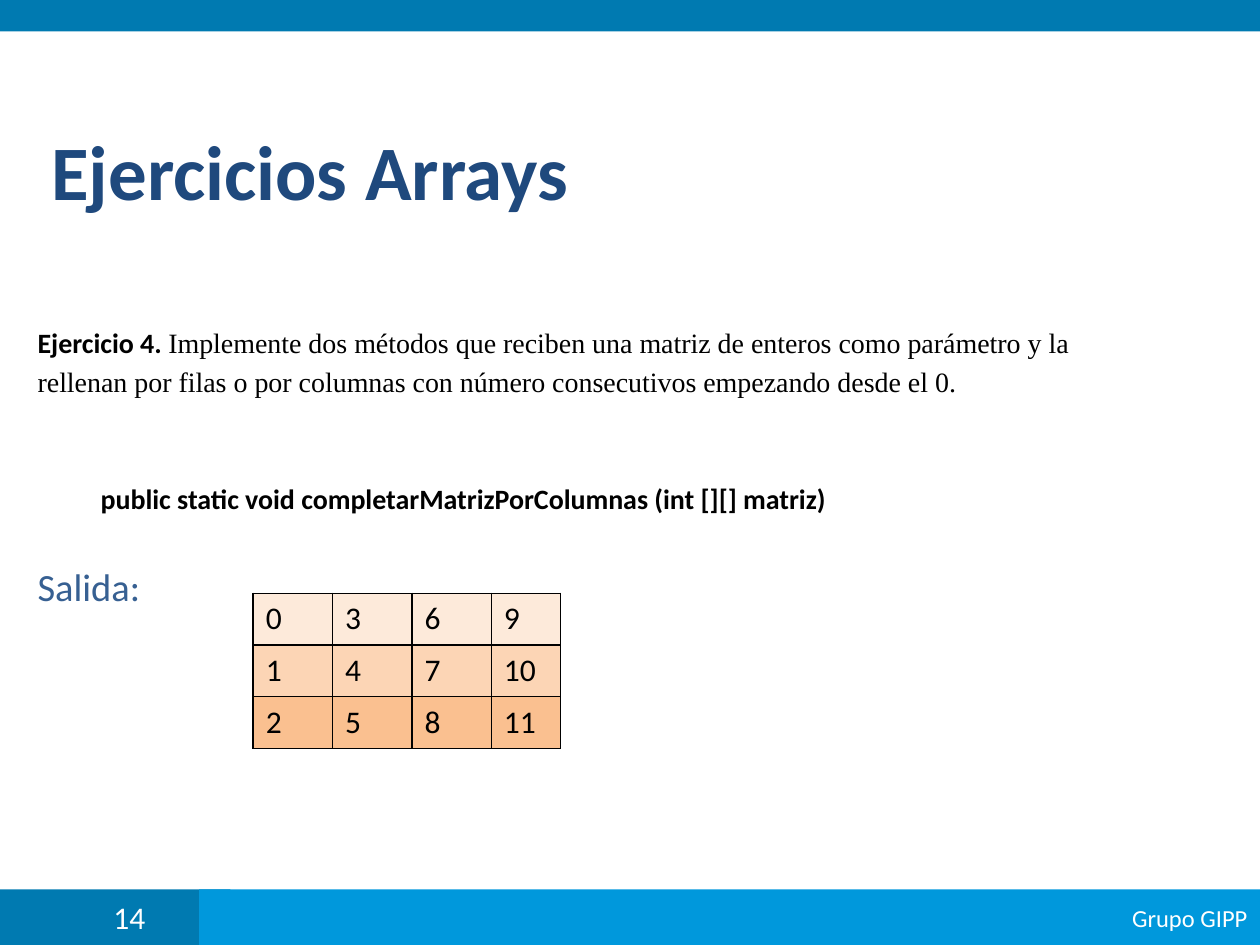
from dataclasses import dataclass

from lxml import etree
from pptx import Presentation
from pptx.dml.color import RGBColor
from pptx.enum.shapes import MSO_SHAPE
from pptx.enum.text import MSO_ANCHOR, PP_ALIGN
from pptx.oxml.ns import qn
from pptx.util import Inches, Pt

RECT = MSO_SHAPE.RECTANGLE
TOP, MIDDLE = MSO_ANCHOR.TOP, MSO_ANCHOR.MIDDLE
LEFT, RIGHT, JUSTIFY = PP_ALIGN.LEFT, PP_ALIGN.RIGHT, PP_ALIGN.JUSTIFY
SLIDE_W, SLIDE_H = 10, 7.5
DARK_BLUE, LIGHT_BLUE, NAVY, STEEL = "007AB1", "0098DC", "1F497D", "376092"
BLACK, WHITE = "000000", "FFFFFF"
ROW_FILLS = ("FDEADA", "FCD5B5", "FAC090")
COL_WIDTHS = (0.63, 0.63, 0.63, 0.55)
ROW_HEIGHT = 0.41


@dataclass
class Box:
    """An area in inches."""
    left: float
    top: float
    width: float
    height: float

    def emu(self) -> tuple:
        return tuple(Inches(v) for v in (self.left, self.top, self.width, self.height))


@dataclass
class Bar:
    box: Box
    fill: str
    text: str = ""
    size: int = 18
    align: PP_ALIGN = LEFT
    inset: float = 0.1


def rgb(color: str) -> RGBColor:
    return RGBColor.from_string(color)


def write(p, text: str, size: float = 18, color: str = BLACK, bold: bool = False,
          font: str = "Calibri", align: PP_ALIGN = LEFT, before: float = 0) -> None:
    """Append a formatted run to a paragraph."""
    p.alignment = align
    p.space_before = Pt(before)
    r = p.add_run()
    r.text = text
    r.font.size, r.font.bold, r.font.name = Pt(size), bold, font
    r.font.color.rgb = rgb(color)


def set_frame(tf, anchor: MSO_ANCHOR, inset: float = 0.1, top: float = 0.05) -> None:
    tf.word_wrap = True
    tf.vertical_anchor = anchor
    tf.margin_left, tf.margin_top = Inches(inset), Inches(top)


def draw_bar(s, bar: Bar) -> None:
    sp = s.shapes.add_shape(RECT, *bar.box.emu())
    sp.shadow.inherit = False
    sp.fill.solid()
    sp.fill.fore_color.rgb = rgb(bar.fill)
    sp.line.fill.background()
    if bar.text:
        set_frame(sp.text_frame, MIDDLE, bar.inset)
        write(sp.text_frame.paragraphs[0], bar.text, size=bar.size,
              color=WHITE, align=bar.align)


def add_text(s, box: Box, anchor: MSO_ANCHOR, top: float = 0.05):
    tf = s.shapes.add_textbox(*box.emu()).text_frame
    set_frame(tf, anchor, top=top)
    return tf


def set_borders(cell) -> None:
    """Draw a thin black line on the four sides of a cell."""
    tc_pr = cell._tc.get_or_add_tcPr()
    for i, side in enumerate(("a:lnL", "a:lnR", "a:lnT", "a:lnB")):
        ln = etree.Element(qn(side), w=str(Pt(1)))
        fill = etree.SubElement(ln, qn("a:solidFill"))
        etree.SubElement(fill, qn("a:srgbClr"), val=BLACK)
        tc_pr.insert(i, ln)


def draw_matrix(s, left: float, top: float) -> None:
    """Draw the matrix, numbered down each column."""
    rows, cols = len(ROW_FILLS), len(COL_WIDTHS)
    box = Box(left, top, sum(COL_WIDTHS), rows * ROW_HEIGHT)
    table = s.shapes.add_table(rows, cols, *box.emu()).table
    for c, width in enumerate(COL_WIDTHS):
        table.columns[c].width = Inches(width)
    for r, fill in enumerate(ROW_FILLS):
        table.rows[r].height = Inches(ROW_HEIGHT)
        for c in range(cols):
            cell = table.cell(r, c)
            cell.fill.solid()
            cell.fill.fore_color.rgb = rgb(fill)
            set_borders(cell)
            write(cell.text_frame.paragraphs[0], str(c * rows + r))


def main() -> None:
    prs = Presentation()
    prs.slide_width, prs.slide_height = Inches(SLIDE_W), Inches(SLIDE_H)
    s = prs.slides.add_slide(prs.slide_layouts[6])

    # Header and footer bars
    foot_h, split = 0.44, 1.58
    foot_y = SLIDE_H - foot_h
    for bar in (
        Bar(Box(0, 0, SLIDE_W, 0.25), DARK_BLUE),
        Bar(Box(0, foot_y, split + 0.25, foot_h), DARK_BLUE, "14", inset=0.9),
        Bar(Box(split, foot_y, SLIDE_W - split, foot_h), LIGHT_BLUE,
            "Grupo GIPP", size=14, align=RIGHT),
    ):
        draw_bar(s, bar)

    # Title
    tf = add_text(s, Box(0.31, 0.68, 9.69, 1.34), MIDDLE)
    write(tf.paragraphs[0], "Ejercicios Arrays", size=44, color=NAVY, bold=True)

    # Exercise statement, method signature and output label
    tf = add_text(s, Box(0.2, 1.94, 9.45, 4.96), TOP, top=0.64)
    p = tf.paragraphs[0]
    write(p, "Ejercicio 4. ", size=16, bold=True, align=JUSTIFY)
    write(p, "Implemente dos métodos que reciben una matriz de enteros como parámetro y la",
          size=16, font="Times New Roman", align=JUSTIFY)
    write(tf.add_paragraph(),
          "rellenan por filas o por columnas con número consecutivos empezando desde el 0.",
          size=16, font="Times New Roman", align=JUSTIFY, before=3.2)
    write(tf.add_paragraph(),
          "\tpublic static void completarMatrizPorColumnas (int [][] matriz)",
          size=16, bold=True, before=48)
    write(tf.add_paragraph(), "Salida:", size=22, color=STEEL, before=27)

    # Output matrix
    draw_matrix(s, 2.01, 4.71)

    prs.save("out.pptx")


if __name__ == "__main__":
    main()
